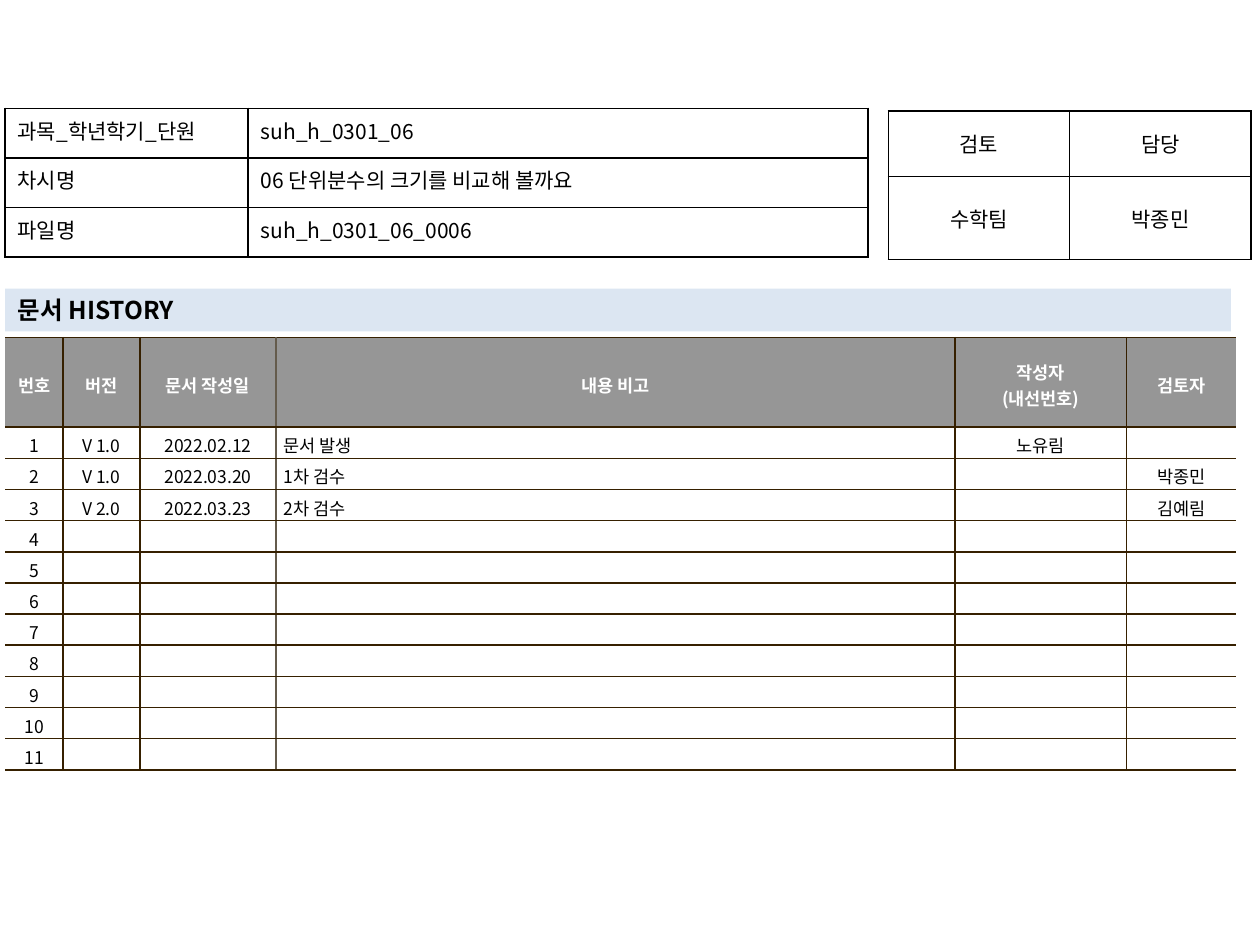
from dataclasses import dataclass

from lxml.etree import SubElement
from pptx import Presentation
from pptx.dml.color import RGBColor
from pptx.enum.text import MSO_ANCHOR, MSO_AUTO_SIZE, PP_ALIGN
from pptx.oxml.ns import qn
from pptx.util import Emu, Inches, Pt

FONT = "Noto Sans CJK KR"
COLORS = {
    "ink": "000000",
    "paper": "FFFFFF",
    "heading": "DCE6F2",
    "header": "969696",
    "rule": "362000",
    "soft_rule": "645B4C",
}
CENTER, LEFT, JUSTIFY = PP_ALIGN.CENTER, PP_ALIGN.LEFT, PP_ALIGN.JUSTIFY

prs = Presentation()
prs.slide_width, prs.slide_height = Inches(10), Inches(7.5)


@dataclass
class Grid:
    """A table; lengths are percentages of the slide's width or height."""
    left: float
    top: float
    cols: list[float]
    rows: list[float]
    texts: list[list[str]]
    aligns: list[PP_ALIGN]
    size: int
    margins: tuple[float, float, float, float]  # left, top, right, bottom; inches
    anchor: MSO_ANCHOR = MSO_ANCHOR.MIDDLE
    rule: str = "ink"
    soft_col: int = -1  # column whose right edge is softer
    open_sides: bool = False
    has_header: bool = False


def across(percent: float) -> Emu:
    return Emu(int(prs.slide_width * percent / 100))


def down(percent: float) -> Emu:
    return Emu(int(prs.slide_height * percent / 100))


def rgb(name: str) -> RGBColor:
    return RGBColor.from_string(COLORS[name])


def style_text(p, size: int, color: str, bold: bool, align: PP_ALIGN) -> None:
    p.alignment = align
    for r in p.runs:
        r.font.size, r.font.bold, r.font.name = Pt(size), bold, FONT
        r.font.color.rgb = rgb(color)
        SubElement(r.font._element, qn("a:ea"), typeface=FONT)
    if not p.runs:
        SubElement(p._p, qn("a:endParaRPr"), sz=str(size * 100))


def set_margins(target, margins: tuple[float, float, float, float]) -> None:
    (target.margin_left, target.margin_top,
     target.margin_right, target.margin_bottom) = map(Inches, margins)


def set_borders(cell, sides: dict[str, str | None]) -> None:
    """Draw 1 pt edges; a side without a colour stays open."""
    tcPr = cell._tc.get_or_add_tcPr()
    for i, (side, color) in enumerate(sides.items()):
        ln = SubElement(tcPr, qn(f"a:ln{side}"), w=str(Pt(1)))
        tcPr.insert(i, ln)
        if color is None:
            SubElement(ln, qn("a:noFill"))
        else:
            fill = SubElement(ln, qn("a:solidFill"))
            SubElement(fill, qn("a:srgbClr"), val=COLORS[color])


def draw_grid(slide, g: Grid) -> None:
    table = slide.shapes.add_table(
        len(g.rows), len(g.cols), across(g.left), down(g.top),
        across(sum(g.cols)), down(sum(g.rows))).table
    table.first_row = table.horz_banding = False
    for column, width in zip(table.columns, g.cols):
        column.width = across(width)
    for row, height in zip(table.rows, g.rows):
        row.height = down(height)

    last = len(g.cols) - 1
    for i, texts in enumerate(g.texts):
        header = g.has_header and i == 0
        for j, text in enumerate(texts):
            cell = table.cell(i, j)
            cell.text = text
            cell.vertical_anchor = g.anchor
            set_margins(cell, g.margins)
            for p in cell.text_frame.paragraphs:
                style_text(p, g.size, "paper" if header else "ink", header,
                           CENTER if header else g.aligns[j])
            cell.fill.solid()
            cell.fill.fore_color.rgb = rgb("header" if header else "paper")
            left = "soft_rule" if j - 1 == g.soft_col and j else g.rule
            right = "soft_rule" if j == g.soft_col else g.rule
            set_borders(cell, {
                "L": None if g.open_sides and j == 0 else left,
                "R": None if g.open_sides and j == last else right,
                "T": g.rule,
                "B": g.rule,
            })


def draw_heading(slide, text: str) -> None:
    sp = slide.shapes.title
    sp.left, sp.top = across(0.4), down(30.53)
    sp.width, sp.height = across(97.3), down(4.53)
    sp.fill.solid()
    sp.fill.fore_color.rgb = rgb("heading")
    tf = sp.text_frame
    tf.text = text
    tf.word_wrap, tf.auto_size = True, MSO_AUTO_SIZE.NONE
    tf.vertical_anchor = MSO_ANCHOR.MIDDLE
    set_margins(tf, (0.1, 0.05, 0.1, 0.05))
    style_text(tf.paragraphs[0], 14, "ink", True, LEFT)


# Review and owner box
review = Grid(
    left=70.5, top=11.73, cols=[14.4] * 2, rows=[6.93, 8.8],
    texts=[["검토", "담당"], ["수학팀", "박종민"]],
    aligns=[CENTER] * 2, size=12, margins=(0.1, 0.05, 0.1, 0.05))

# Lesson details
lesson = Grid(
    left=0.4, top=11.47, cols=[19.3, 49.2], rows=[5.24] * 3,
    texts=[["과목_학년학기_단원", "suh_h_0301_06"],
           ["차시명", "06 단위분수의 크기를 비교해 볼까요"],
           ["파일명", "suh_h_0301_06_0006"]],
    aligns=[JUSTIFY, LEFT], size=12, margins=(0.1, 0.05, 0.1, 0.05),
    anchor=MSO_ANCHOR.TOP)

# Document history, with numbered rows left free for later entries
ENTRIES = [
    ["V 1.0", "2022.02.12", "문서 발생", "노유림", ""],
    ["V 1.0", "2022.03.20", "1차 검수", "", "박종민"],
    ["V 2.0", "2022.03.23", "2차 검수", "", "김예림"],
]
ENTRY_ROWS = 11
entries = ENTRIES + [[""] * 5] * (ENTRY_ROWS - len(ENTRIES))
history = Grid(
    left=0.4, top=35.73, cols=[4.6, 6.1, 10.8, 53.9, 13.6, 8.7],
    rows=[9.47] + [3.3] * ENTRY_ROWS,
    texts=[["번호", "버전", "문서 작성일", "내용 비고", "작성자\n(내선번호)", "검토자"]]
    + [[str(n), *entry] for n, entry in enumerate(entries, 1)],
    aligns=[CENTER, CENTER, CENTER, LEFT, CENTER, CENTER],
    size=10, margins=(0.06, 0.04, 0.06, 0), rule="rule",
    soft_col=2, open_sides=True, has_header=True)


def main() -> None:
    slide = prs.slides.add_slide(prs.slide_layouts[5])
    draw_heading(slide, "문서 HISTORY")
    for grid in (review, history, lesson):
        draw_grid(slide, grid)
    prs.save("out.pptx")


if __name__ == "__main__":
    main()
